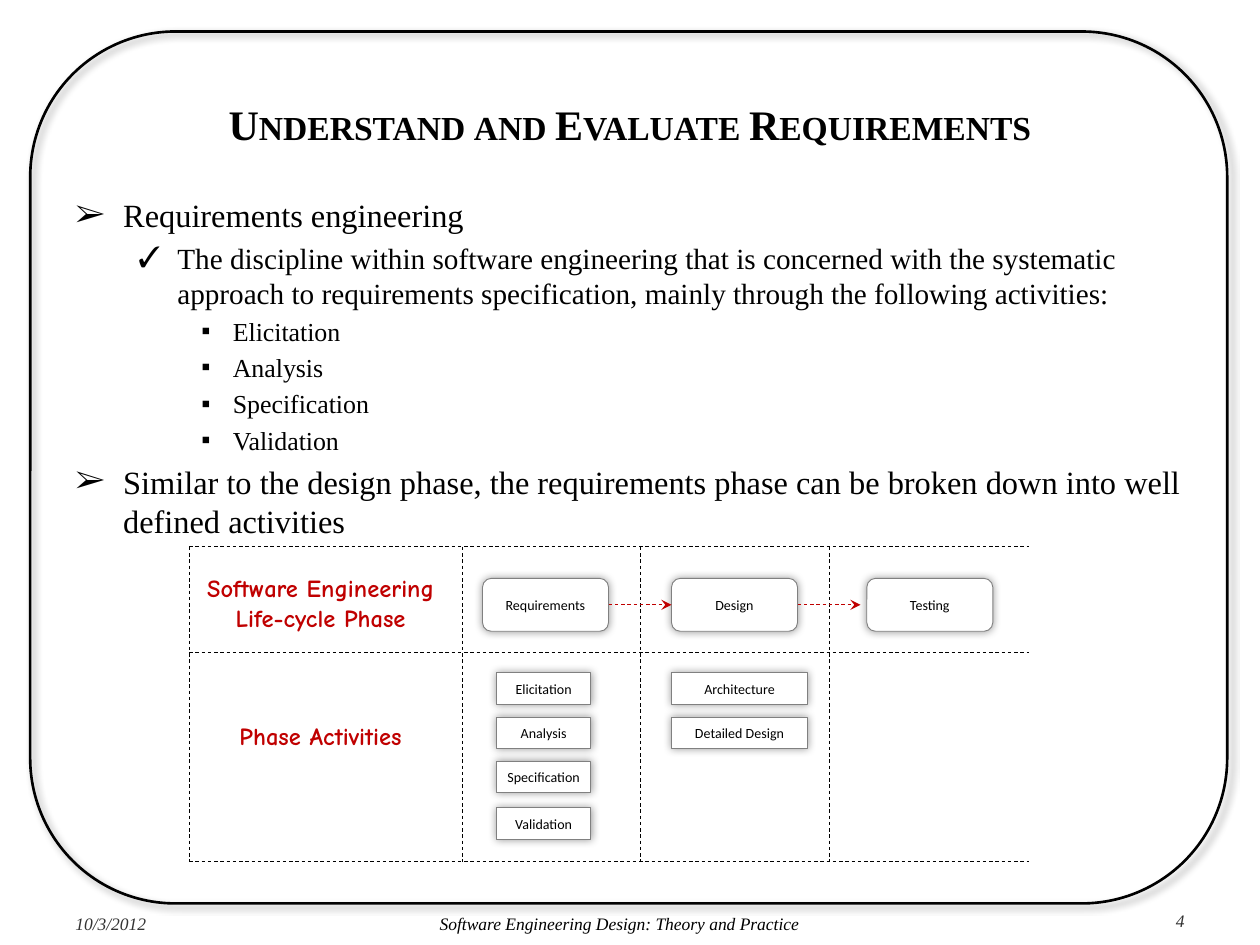
"""Build the slide on understanding and evaluating requirements."""
from dataclasses import dataclass

from lxml import etree
from pptx import Presentation
from pptx import util as u
from pptx.dml.color import RGBColor
from pptx.enum import dml, shapes, text
from pptx.oxml import ns

Inches = u.Inches
ALIGN = text.PP_ALIGN


@dataclass(frozen=True)
class Theme:
    """Fonts, colours and type sizes of the slide."""
    serif: str = "Times New Roman"
    hand: str = "Comic Neue"
    sans: str = "Calibri"
    ink: str = "000000"
    muted: str = "333333"
    accent: str = "C00000"
    paper: str = "FFFFFF"
    edge: str = "808080"
    title: float = 24
    heading: float = 14
    footer: float = 10
    label: float = 8
    levels: tuple = (18.5, 16.7, 14.8)


THEME = Theme()
BULLETS = (("➢", 0.38, 0.38), ("✓", 0.81, 0.31), ("▪", 1.25, 0.25))
ACTIVITIES = ("Elicitation", "Analysis", "Specification", "Validation")
OUTLINE = (
    (0, "Requirements engineering"),
    (1, "The discipline within software engineering that is concerned with the "
        "systematic approach to requirements specification, mainly through the "
        "following activities:"),
    *((2, name) for name in ACTIVITIES),
    (0, "Similar to the design phase, the requirements phase can be broken down "
        "into well defined activities"),
)
PHASES = (("Requirements", 3.83), ("Design", 5.33), ("Testing", 6.88))
STACKS = (
    (3.94, 0.75, ACTIVITIES),
    (5.33, 1.08, ("Architecture", "Detailed Design")),
)
ACTIVITY_TOPS = (5.34, 5.69, 6.04, 6.41)
GRID_COLUMNS = (1.5, 3.67, 5.08, 6.58)
GRID_ROWS = (4.34, 5.18, 6.84)
GRID_RIGHT = 8.17


def add_element(parent, tag, **attributes):
    """Append a DrawingML element and return it."""
    values = {key: str(value) for key, value in attributes.items()}
    return etree.SubElement(parent, ns.qn(tag), values)


def add_span(para, words, font, size, color, bold=False, italic=False):
    """Add one formatted run to a paragraph."""
    span = para.add_run()
    span.text = words
    span.font.name = font
    span.font.size = u.Pt(size)
    span.font.color.rgb = RGBColor.from_string(color)
    span.font.bold = bold
    span.font.italic = italic
    return span


def add_box(page, left, top, width, height):
    """Add an empty wrapping text box."""
    box = page.shapes.add_textbox(*map(Inches, (left, top, width, height)))
    box.text_frame.word_wrap = True
    return box


def add_caption(page, place, words, align, *style, **emphasis):
    """Add a text box that holds one run."""
    box = add_box(page, *place)
    para = box.text_frame.paragraphs[0]
    para.alignment = align
    return box, add_span(para, words, *style, **emphasis)


def add_title(page):
    """Add the title in small capitals."""
    box, span = add_caption(page, (0.5, 0.55, 9, 0.87),
                            "Understand and Evaluate Requirements", ALIGN.CENTER,
                            THEME.serif, THEME.title, THEME.ink, bold=True)
    box.text_frame.vertical_anchor = text.MSO_ANCHOR.MIDDLE
    span._r.get_or_add_rPr().set("cap", "small")


def add_outline(page):
    """Add the bulleted outline."""
    frame = add_box(page, 0.5, 1.5, 9, 2.75).text_frame
    for index, (level, words) in enumerate(OUTLINE):
        para = frame.add_paragraph() if index else frame.paragraphs[0]
        mark, margin, hanging = BULLETS[level]
        size = THEME.levels[level]
        para.level = level
        para.space_before = u.Pt(round(size * 0.2, 1) if index else 0)
        properties = para._p.get_or_add_pPr()
        properties.set("marL", str(Inches(margin)))
        properties.set("indent", str(-Inches(hanging)))
        add_element(properties, "a:buFont", typeface=THEME.serif)
        add_element(properties, "a:buChar", char=mark)
        add_span(para, words, THEME.serif, size, THEME.ink)


def add_shadow(shape, blur, distance, angle):
    """Give a shape a soft black shadow."""
    shape.shadow.inherit = False
    effects = shape._element.spPr.find(ns.qn("a:effectLst"))
    shadow = add_element(effects, "a:outerShdw", blurRad=u.Pt(blur),
                         dist=u.Pt(distance), dir=angle * 60000,
                         algn="ctr", rotWithShape=0)
    color = add_element(shadow, "a:srgbClr", val=THEME.ink)
    add_element(color, "a:alpha", val=40000)


def add_frame(page):
    """Add the rounded border around the slide."""
    frame = page.shapes.add_shape(shapes.MSO_SHAPE.ROUNDED_RECTANGLE,
                                  *map(Inches, (0.24, 0.25, 9.5, 6.92)))
    frame.fill.background()
    frame.line.color.rgb = RGBColor.from_string(THEME.ink)
    frame.line.width = u.Pt(1.5)
    add_shadow(frame, 4, 3, 45)


def add_node(page, kind, place, words):
    """Add a white labelled box with a glow-like shadow."""
    node = page.shapes.add_shape(kind, *map(Inches, place))
    node.fill.solid()
    node.fill.fore_color.rgb = RGBColor.from_string(THEME.paper)
    node.line.color.rgb = RGBColor.from_string(THEME.edge)
    node.line.width = u.Pt(0.5)
    add_shadow(node, 5, 0, 0)
    frame = node.text_frame
    frame.word_wrap = False
    frame.vertical_anchor = text.MSO_ANCHOR.MIDDLE
    frame.margin_left = frame.margin_right = 0
    frame.margin_top = frame.margin_bottom = 0
    para = frame.paragraphs[0]
    para.alignment = ALIGN.CENTER
    add_span(para, words, THEME.sans, THEME.label, THEME.ink)
    return node


def add_dashed(page, start, end, color):
    """Add a thin dashed line."""
    line = page.shapes.add_connector(shapes.MSO_CONNECTOR.STRAIGHT,
                                     *map(Inches, (*start, *end)))
    line.line.color.rgb = RGBColor.from_string(color)
    line.line.width = u.Pt(0.5)
    line.line.dash_style = dml.MSO_LINE.DASH
    add_element(line._element.spPr, "a:effectLst")
    return line


def add_grid(page):
    """Add the dashed grid with its row headings."""
    for top in GRID_ROWS:
        add_dashed(page, (GRID_COLUMNS[0], top), (GRID_RIGHT, top), THEME.ink)
    for left in GRID_COLUMNS:
        add_dashed(page, (left, GRID_ROWS[0]), (left, GRID_ROWS[-1]), THEME.ink)
    for top, height, words in ((4.5, 0.57, "Software Engineering Life-cycle Phase"),
                               (5.67, 0.34, "Phase Activities")):
        add_caption(page, (1.42, top, 2.25, height), words, ALIGN.CENTER,
                    THEME.hand, THEME.heading, THEME.accent, bold=True)


def add_phases(page):
    """Add the phases, the arrows between them and their activities."""
    nodes = [add_node(page, shapes.MSO_SHAPE.ROUNDED_RECTANGLE,
                      (left, 4.59, 1, 0.42), name) for name, left in PHASES]
    arrows = []
    for node, (_, left) in zip(nodes[:-1], PHASES):
        arrow = add_dashed(page, (left + 1, 4.8), (left + 1.5, 4.8), THEME.accent)
        arrow.begin_connect(node, 3)
        add_element(arrow.line._get_or_add_ln(), "a:tailEnd", type="stealth")
        arrows.append(arrow)
    arrows[0].end_connect(nodes[1], 1)
    for left, width, names in STACKS:
        for top, name in zip(ACTIVITY_TOPS, names):
            add_node(page, shapes.MSO_SHAPE.RECTANGLE, (left, top, width, 0.25), name)


def add_footer(page):
    """Add the date, the book title and the page number."""
    for place, words, align, color in (
            ((0.5, 7.2, 1.08, 0.3), "10/3/2012", ALIGN.LEFT, THEME.muted),
            ((1.58, 7.2, 6.67, 0.3), "Software Engineering Design: Theory and Practice",
             ALIGN.CENTER, THEME.ink),
            ((8.25, 7.17, 1.25, 0.33), "4", ALIGN.RIGHT, THEME.muted)):
        add_caption(page, place, words, align, THEME.serif, THEME.footer, color,
                    italic=True)


def main():
    """Build and save the deck."""
    deck = Presentation()
    deck.slide_width, deck.slide_height = Inches(10), Inches(7.5)
    page = deck.slides.add_slide(deck.slide_layouts[6])
    for build in (add_frame, add_title, add_outline, add_footer, add_grid, add_phases):
        build(page)
    deck.save("out.pptx")


if __name__ == "__main__":
    main()
